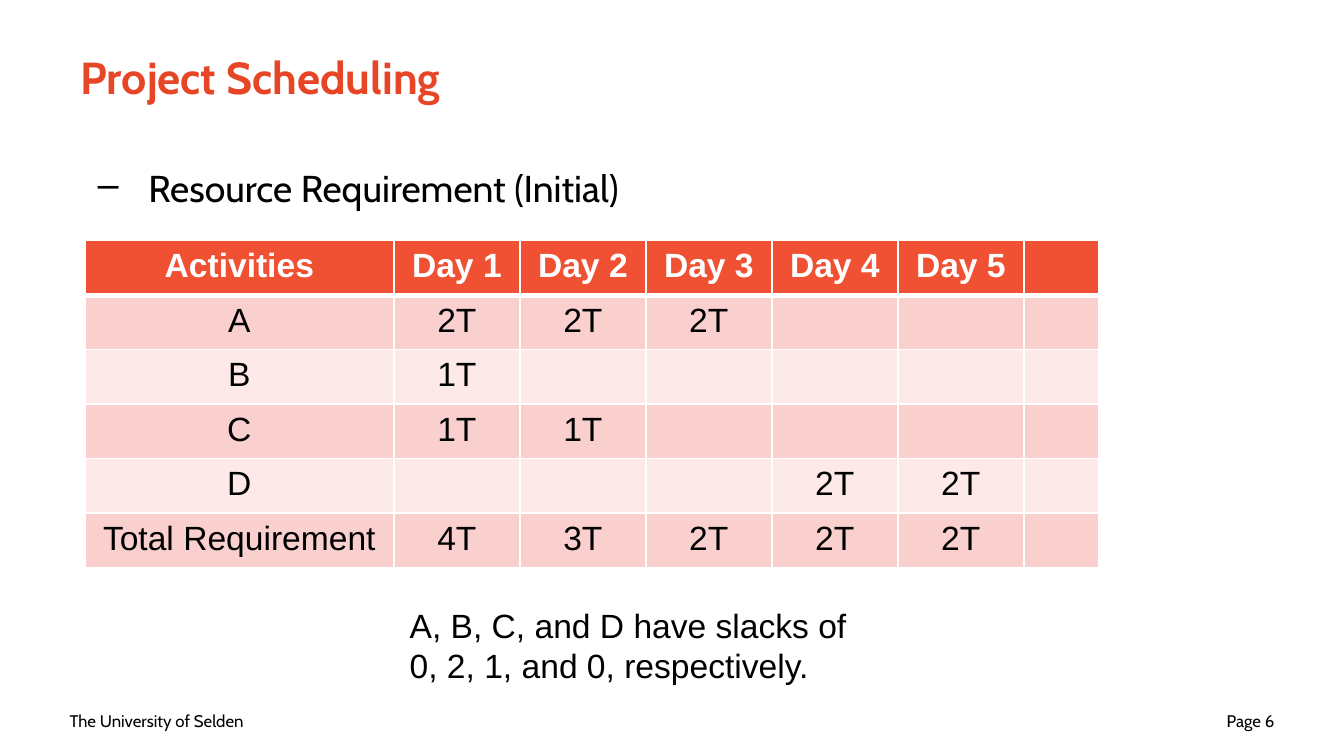
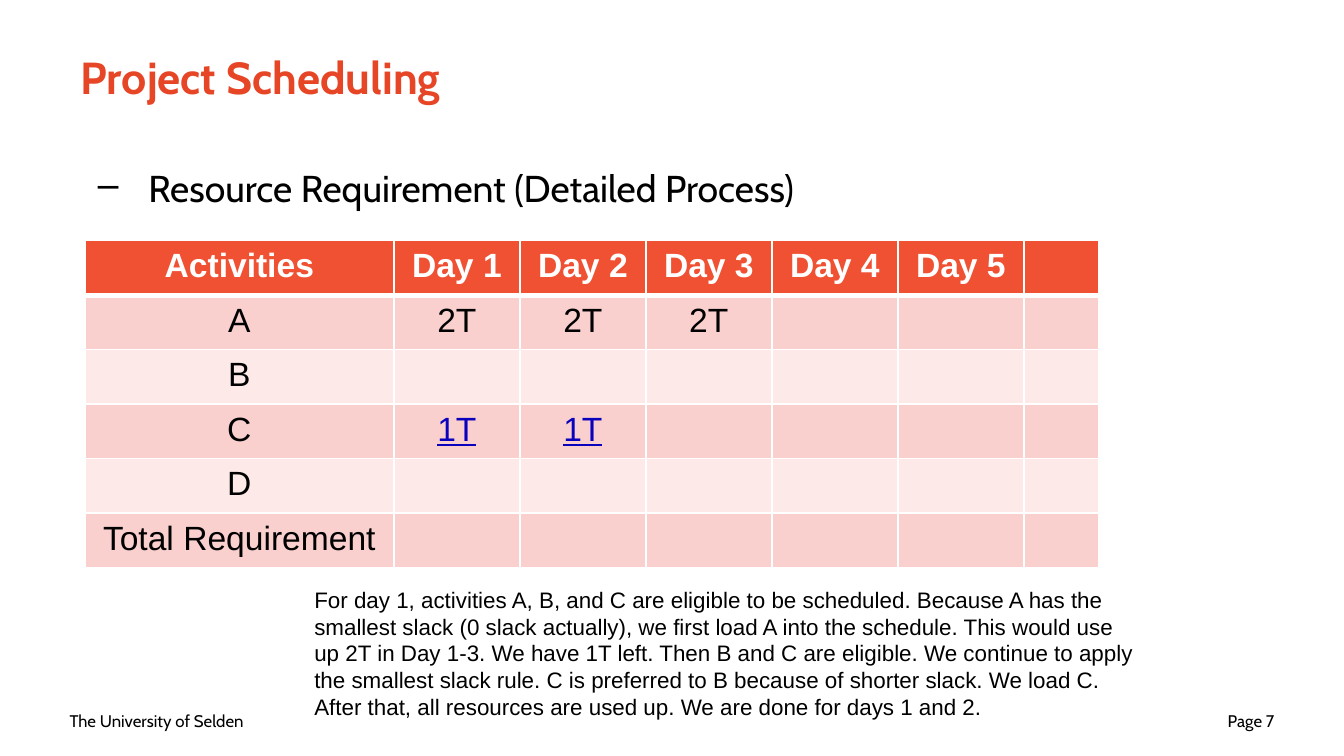
"""Build two project scheduling slides with resource requirement tables."""
from lxml import etree
from pptx import Presentation
from pptx.dml.color import RGBColor
from pptx.enum.text import MSO_ANCHOR, MSO_AUTO_SIZE, PP_ALIGN
from pptx.oxml.ns import qn
from pptx.util import Pt

LEFT, CENTER, RIGHT = PP_ALIGN.LEFT, PP_ALIGN.CENTER, PP_ALIGN.RIGHT
TOP, MIDDLE = MSO_ANCHOR.TOP, MSO_ANCHOR.MIDDLE
FIT_SHAPE, NO_FIT = MSO_AUTO_SIZE.SHAPE_TO_FIT_TEXT, MSO_AUTO_SIZE.NONE

TITLE = "Project Scheduling"
FOOTER = "The University of Selden"
HEADINGS = ["Activities", "Day 1", "Day 2", "Day 3", "Day 4", "Day 5", ""]
SLIDES = [
    {
        "page": 6,
        "heading": "Resource Requirement (Initial)",
        "rows": [
            ["A", "2T", "2T", "2T"],
            ["B", "1T"],
            ["C", "1T", "1T"],
            ["D", "", "", "", "2T", "2T"],
            ["Total Requirement", "4T", "3T", "2T", "2T", "2T"],
        ],
        "new_loads": [],
        "note": "A, B, C, and D have slacks of 0, 2, 1, and 0, respectively.",
        "note_box": (212.4, 320.4, 264.2, 51),
        "note_size": 18,
    },
    {
        "page": 7,
        "heading": "Resource Requirement (Detailed Process)",
        "rows": [
            ["A", "2T", "2T", "2T"],
            ["B"],
            ["C", "1T", "1T"],
            ["D"],
            ["Total Requirement"],
        ],
        "new_loads": [(3, 1), (3, 2)],
        "note": "For day 1, activities A, B, and C are eligible to be scheduled. "
                "Because A has the smallest slack (0 slack actually), we first load A "
                "into the schedule. This would use up 2T in Day 1-3. We have 1T left. "
                "Then B and C are eligible. We continue to apply the smallest slack rule. "
                "C is preferred to B because of shorter slack. We load C. After that, "
                "all resources are used up. We are done for days 1 and 2.",
        "note_box": (161.3, 310.3, 454.3, 80),
        "note_size": 12,
    },
]

BLACK, WHITE, TITLE_RED, NEW_LOAD_BLUE = "000000", "FFFFFF", "E64626", "0B02BE"
HEADER_FILL, BAND_FILLS = "F05133", ("FCE9E8", "F9D0CE")
HEADING_FONT, TEXT_FONT = "Cabin", "Arial"
TITLE_BOX = (36, 7.2, 648, 67.7)
HEADING_BOX = (45.4, 87.8, 635, 267.1)
FOOTER_BOX = (30.2, 375.1, 167.8, 21.6)
PAGE_BOX = (522, 375.1, 167.8, 21.6)
TABLE_LEFT, TABLE_TOP, ROW_HEIGHT = 45.4, 128.9, 29.2
COLUMN_WIDTHS = [165.6] + [67.5] * 5 + [40.3]
HEADING_INDENT = 27


def color(value):
    return RGBColor.from_string(value)


def write(frame, text, font, size, ink=BLACK, align=LEFT, bold=False, underline=False):
    frame.text = text
    paragraph = frame.paragraphs[0]
    paragraph.alignment = align
    for run in paragraph.runs:
        run.font.name = font
        run.font.size = Pt(size)
        run.font.color.rgb = color(ink)
        run.font.bold = bold
        run.font.underline = underline
    return paragraph


def add_text(slide, box, text, font, size, align=LEFT, anchor=TOP, fit=NO_FIT):
    frame = slide.shapes.add_textbox(*map(Pt, box)).text_frame
    frame.word_wrap = True
    frame.auto_size = fit
    frame.vertical_anchor = anchor
    return write(frame, text, font, size, align=align)


def add_title(slide):
    title = slide.shapes.title
    title.left, title.top, title.width, title.height = map(Pt, TITLE_BOX)
    title.text_frame.vertical_anchor = MIDDLE
    write(title.text_frame, TITLE, HEADING_FONT, 24, TITLE_RED, bold=True)


def add_heading(slide, text):
    paragraph = add_text(slide, HEADING_BOX, text, HEADING_FONT, 20)
    paragraph.line_spacing = 0.9
    properties = paragraph._p.get_or_add_pPr()
    properties.set("marL", str(Pt(HEADING_INDENT)))
    properties.set("indent", str(-Pt(HEADING_INDENT)))
    etree.SubElement(properties, qn("a:buChar"), char="–")


def set_borders(cell, row):
    widths = {"L": 1, "R": 1, "T": 3 if row == 1 else 1, "B": 3 if row == 0 else 1}
    properties = cell._tc.get_or_add_tcPr()
    for side, width in widths.items():
        line = etree.SubElement(properties, qn(f"a:ln{side}"), w=str(Pt(width)))
        fill = etree.SubElement(line, qn("a:solidFill"))
        etree.SubElement(fill, qn("a:srgbClr"), val=WHITE)


def add_requirements(slide, rows, new_loads):
    lines = [HEADINGS] + rows
    frame = slide.shapes.add_table(
        len(lines), len(HEADINGS), Pt(TABLE_LEFT), Pt(TABLE_TOP),
        Pt(sum(COLUMN_WIDTHS)), Pt(ROW_HEIGHT * len(lines)))
    table = frame.table
    for column, width in zip(table.columns, COLUMN_WIDTHS):
        column.width = Pt(width)
    for row, line in enumerate(lines):
        table.rows[row].height = Pt(ROW_HEIGHT)
        is_header = row == 0
        for column in range(len(HEADINGS)):
            cell = table.cell(row, column)
            set_borders(cell, row)
            cell.fill.solid()
            cell.fill.fore_color.rgb = color(HEADER_FILL if is_header else BAND_FILLS[row % 2])
            is_new = (row, column) in new_loads
            ink = WHITE if is_header else NEW_LOAD_BLUE if is_new else BLACK
            text = line[column] if column < len(line) else ""
            write(cell.text_frame, text, TEXT_FONT, 18, ink, CENTER, is_header, is_new)


def main():
    presentation = Presentation()
    presentation.slide_width, presentation.slide_height = Pt(720), Pt(405)
    for content in SLIDES:
        slide = presentation.slides.add_slide(presentation.slide_layouts[5])
        add_text(slide, FOOTER_BOX, FOOTER, HEADING_FONT, 9, anchor=MIDDLE)
        add_text(slide, PAGE_BOX, f"Page {content['page']}", HEADING_FONT, 9, RIGHT, MIDDLE)
        add_title(slide)
        add_heading(slide, content["heading"])
        add_requirements(slide, content["rows"], content["new_loads"])
        add_text(slide, content["note_box"], content["note"], TEXT_FONT,
                 content["note_size"], fit=FIT_SHAPE)
    presentation.save("out.pptx")


if __name__ == "__main__":
    main()
